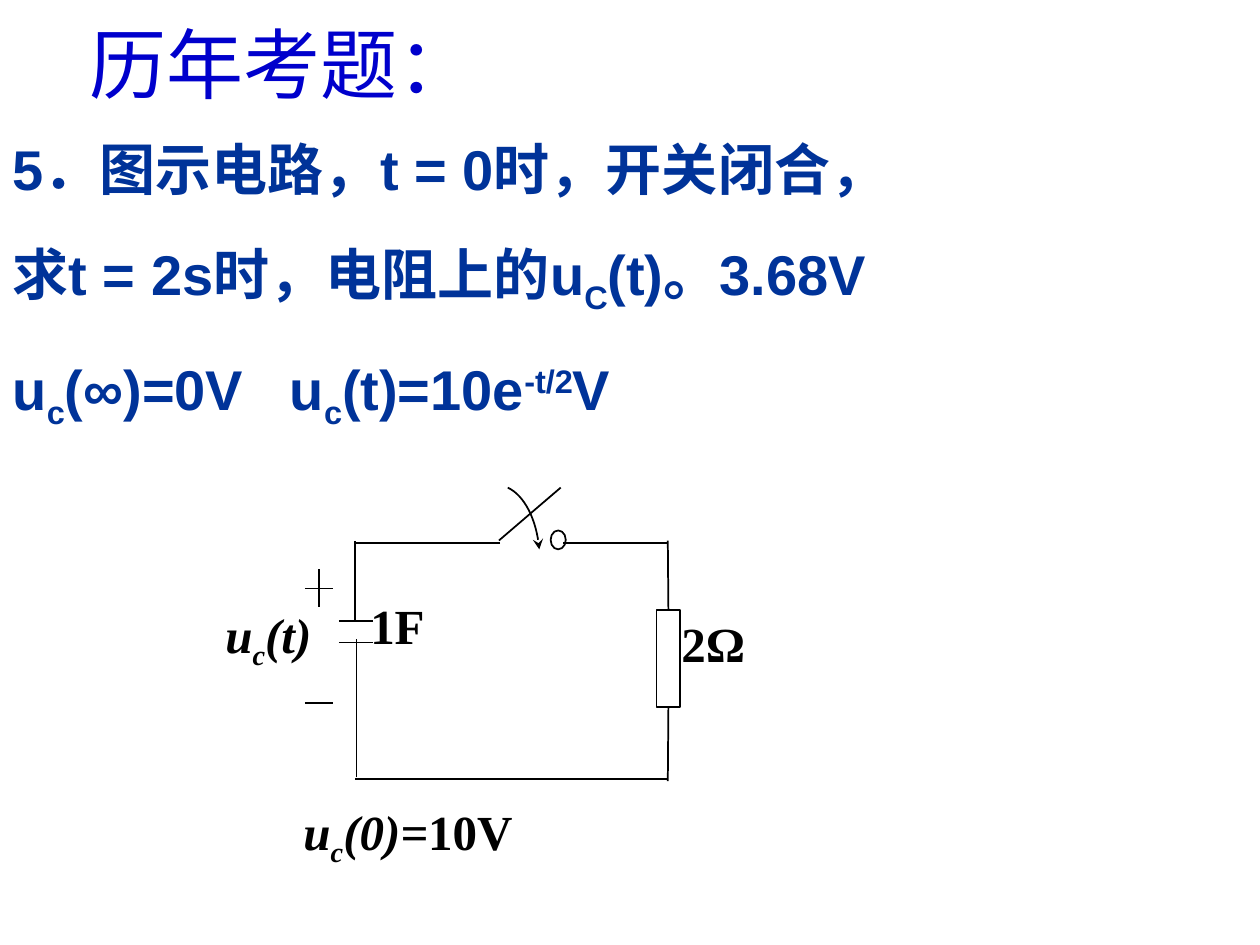
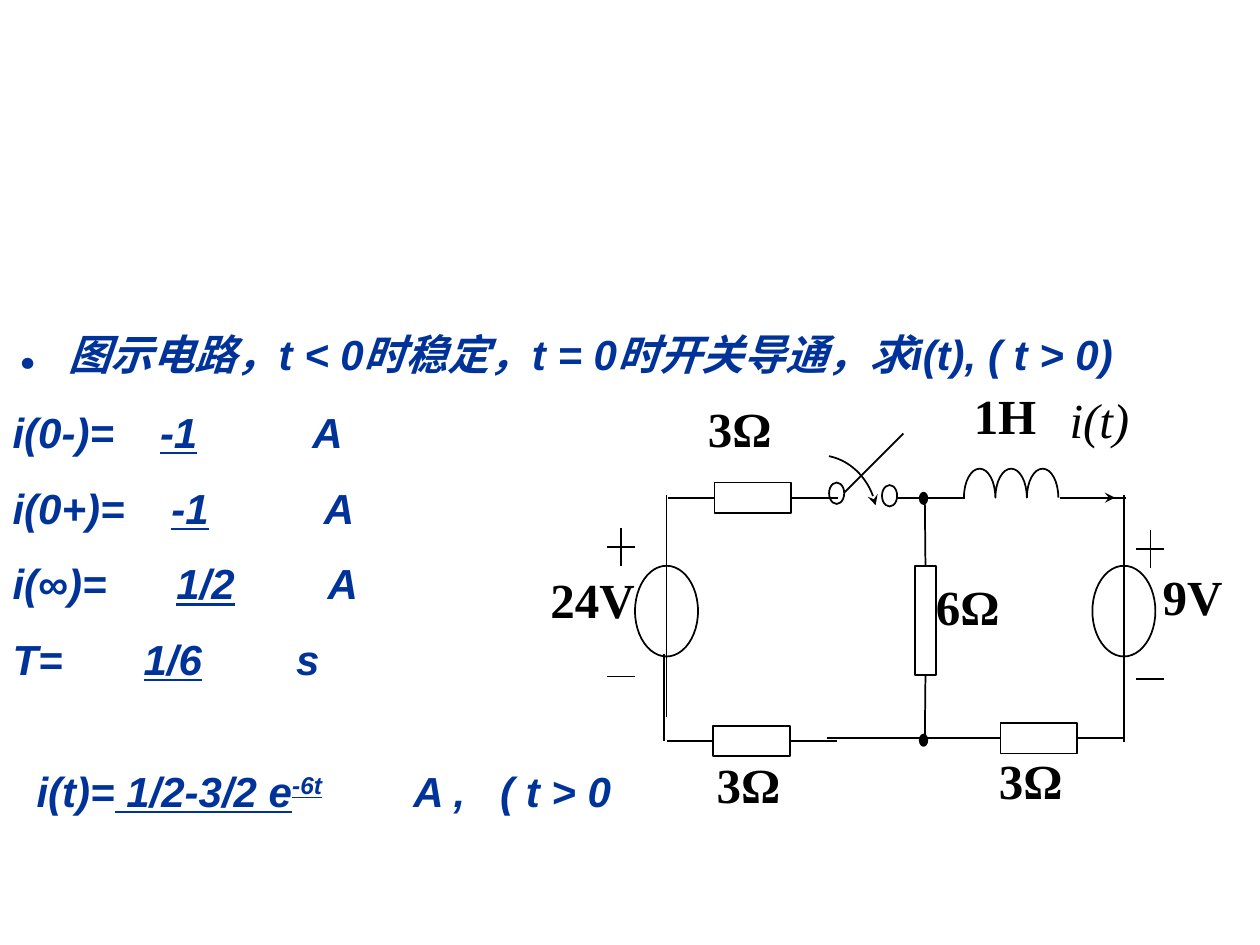
from dataclasses import dataclass
from math import cos, pi, sin
from typing import NamedTuple, Sequence, Union

from lxml import etree
from pptx import Presentation
from pptx.dml.color import RGBColor
from pptx.enum.lang import MSO_LANGUAGE_ID as Lang
from pptx.enum.shapes import MSO_CONNECTOR as Connector, MSO_SHAPE as Shape
from pptx.enum.text import MSO_ANCHOR as Anchor, MSO_AUTO_SIZE as AutoSize, PP_ALIGN as Align
from pptx.oxml.ns import qn
from pptx.util import Inches, Pt

COLORS = {"question": "003399", "heading": "0000CC", "ink": "000000"}
SANS, SERIF = "Arial", "Times New Roman"
SUB, SUPER = -25, 30
TOP, LEFT, BOTTOM, RIGHT = range(4)


class Span(NamedTuple):
    text: str
    baseline: int = 0
    underline: bool = False
    size: int = 0
    upright: bool = False


class Line(NamedTuple):
    spans: Sequence[Span]
    tabs: Sequence[float] = ()
    space_before: float = 0


class Point(NamedTuple):
    x: float
    y: float


class Joint(NamedTuple):
    """The middle of one side of a drawn component."""
    component: object
    side: int


End = Union[Point, Joint]


@dataclass
class Label:
    left: float
    top: float
    width: float
    height: float
    spans: Sequence[Span]
    bold: bool = True
    italic: bool = False


@dataclass
class Answer:
    quantity: str
    value: str
    unit: str
    tabs: Sequence[float]

    def line(self) -> Line:
        return Line([Span(f"{self.quantity}\t"), Span(f"\t{self.value}\t", underline=True),
                     Span(f"\t{self.unit}")], self.tabs)


def rgb(name: str) -> RGBColor:
    return RGBColor.from_string(COLORS[name])


def box(left: float, top: float, width: float, height: float) -> list:
    return [Inches(length) for length in (left, top, width, height)]


def style(font, face: str, size: float, color: str, bold=False, italic=False) -> None:
    font.name, font.size, font.bold, font.italic = face, Pt(size), bold, italic
    font.color.rgb = rgb(color)
    font.language_id = Lang.SIMPLIFIED_CHINESE


def add_spans(paragraph, spans: Sequence[Span]) -> None:
    for span in spans:
        run = paragraph.add_run()
        run.text = span.text
        if span.underline:
            run.font.underline = True
        if span.size:
            run.font.size = Pt(span.size)
        if span.upright:
            run.font.italic = False
        if span.baseline:
            run._r.get_or_add_rPr().set("baseline", str(span.baseline * 1000))


def add_tabs(paragraph, stops: Sequence[float]) -> None:
    tab_list = etree.SubElement(paragraph._p.get_or_add_pPr(), qn("a:tabLst"))
    for stop in stops:
        etree.SubElement(tab_list, qn("a:tab"), pos=str(Inches(stop)), algn="l")


def add_question(slide, top: float, lines: Sequence[Line], size: float, italic=False) -> None:
    title = slide.shapes.title
    title.left, title.top, title.width, title.height = box(0, top, 9.77, 0.5)
    frame = title.text_frame
    frame.auto_size, frame.word_wrap = AutoSize.NONE, True
    frame.vertical_anchor = Anchor.MIDDLE
    for index, line in enumerate(lines):
        paragraph = frame.add_paragraph() if index else frame.paragraphs[0]
        paragraph.alignment, paragraph.line_spacing = Align.LEFT, 1.5
        if line.space_before:
            paragraph.space_before = Pt(line.space_before)
        if line.tabs:
            add_tabs(paragraph, line.tabs)
        style(paragraph.font, SANS, size, "question", True, italic)
        add_spans(paragraph, line.spans)


def add_heading(slide, text: str) -> None:
    frame = slide.shapes.add_textbox(*box(0.61, 0.08, 3.26, 0.84)).text_frame
    frame.word_wrap, frame.auto_size = False, AutoSize.SHAPE_TO_FIT_TEXT
    paragraph = frame.paragraphs[0]
    style(paragraph.font, SANS, 44, "heading")
    add_spans(paragraph, [Span(text)])


def add_label(slide, label: Label) -> None:
    frame = slide.shapes.add_textbox(*box(label.left, label.top, label.width, label.height)).text_frame
    frame.word_wrap = True
    paragraph = frame.paragraphs[0]
    paragraph.alignment = Align.JUSTIFY
    style(paragraph.font, SERIF, 28, "ink", label.bold, label.italic)
    add_spans(paragraph, label.spans)


def ink_line(shape, width: float = 1) -> None:
    shape.line.color.rgb = rgb("ink")
    shape.line.width = Pt(width)


def add_component(slide, kind, left: float, top: float, width: float, height: float, filled=False):
    component = slide.shapes.add_shape(kind, *box(left, top, width, height))
    component.shadow.inherit = False
    if filled:
        component.fill.solid()
        component.fill.fore_color.rgb = rgb("ink")
    else:
        component.fill.background()
    ink_line(component)
    return component


def add_arrowhead(shape, end: str) -> None:
    etree.SubElement(shape.line._get_or_add_ln(), qn(f"a:{end}"), type="stealth")


def add_wire(slide, start: End, end: End, width: float = 1):
    corners = [Point(0, 0) if isinstance(p, Joint) else p for p in (start, end)]
    wire = slide.shapes.add_connector(
        Connector.STRAIGHT, *[Inches(length) for corner in corners for length in corner])
    if isinstance(start, Joint):
        wire.begin_connect(*start)
    if isinstance(end, Joint):
        wire.end_connect(*end)
    ink_line(wire, width)
    etree.SubElement(wire._element.spPr, qn("a:effectLst"))
    return wire


def add_wires(slide, ends: Sequence[tuple]) -> None:
    for x1, y1, x2, y2 in ends:
        add_wire(slide, Point(x1, y1), Point(x2, y2))


def add_curve(slide, points: Sequence[Point]):
    emu = [(Inches(p.x), Inches(p.y)) for p in points]
    builder = slide.shapes.build_freeform(*emu[0])
    builder.add_line_segments(emu[1:], close=False)
    curve = builder.convert_to_shape()
    curve.shadow.inherit = False
    curve.fill.background()
    ink_line(curve)
    return curve


def add_switch_arrow(slide, *controls: Point) -> None:
    """Draw a cubic Bézier curve with an arrowhead at its first point."""
    points = []
    for step in range(17):
        t = step / 16
        weights = ((1 - t) ** 3, 3 * t * (1 - t) ** 2, 3 * t * t * (1 - t), t ** 3)
        points.append(Point(*(sum(w * c for w, c in zip(weights, axis)) for axis in zip(*controls))))
    add_arrowhead(add_curve(slide, points), "headEnd")


def add_inductor(slide, left: float, base: float, humps=3, pitch=0.25, height=0.23) -> None:
    steps = 16
    angles = [pi * step / steps for step in range(steps + 1)]
    add_curve(slide, [Point(left + pitch * (hump + (1 - cos(a)) / 2), base - height * sin(a))
                      for hump in range(humps) for a in angles])


def add_polarity(slide, x: float, plus_y: float, minus_y: float) -> None:
    arm, stem = 0.11, 0.15
    add_wires(slide, [(x - arm, plus_y, x + arm, plus_y), (x, plus_y - stem, x, plus_y + stem),
                      (x - arm, minus_y, x + arm, minus_y)])


def build_capacitor_slide(slide) -> None:
    add_question(slide, 1.86, [
        Line([Span("5．图示电路，t = 0时，开关闭合，")]),
        Line([Span("求t = 2s时，电阻上的u"), Span("C", SUB), Span("(t)。3.68V")]),
        Line([Span("u"), Span("c", SUB), Span("(∞)=0V\tu"), Span("c", SUB),
              Span("(t)=10e"), Span("-t/2", SUPER), Span("V")], [2.2]),
    ], 32)
    add_heading(slide, "历年考题：")

    resistor = add_component(slide, Shape.RECTANGLE, 5.21, 4.84, 0.19, 0.77)
    add_wire(slide, Point(5.3, 4.29), Joint(resistor, TOP))
    add_wire(slide, Joint(resistor, BOTTOM), Point(5.3, 6.2))
    add_component(slide, Shape.OVAL, 4.37, 4.21, 0.12, 0.15)
    capacitor_plates = [(2.69, y, 2.96, y) for y in (4.93, 5.1)]
    switch_blade = (4.45, 3.87, 3.96, 4.29)
    add_wires(slide, [
        *capacitor_plates, switch_blade,
        (5.29, 4.31, 4.47, 4.31), (3.97, 4.31, 2.82, 4.31),
        (2.82, 4.92, 2.82, 4.29), (2.83, 5.7, 2.83, 5.07), (2.83, 6.17, 2.83, 5.56),
        (5.3, 6.18, 3.66, 6.18), (4.47, 6.18, 2.82, 6.18),
    ])
    add_switch_arrow(slide, Point(4.28, 4.36), Point(4.26, 4.12), Point(4.16, 3.93), Point(4.03, 3.87))
    add_polarity(slide, 2.53, 4.67, 5.58)
    for label in (
        Label(1.69, 4.75, 1.32, 0.76, [Span("u"), Span("c", SUB), Span("(t)")], italic=True),
        Label(2.31, 6.31, 1.98, 0.76, [Span("u"), Span("c", SUB), Span("(0)="),
                                       Span("10V", upright=True)], italic=True),
        Label(2.84, 4.68, 0.99, 0.68, [Span("1F")]),
        Label(5.31, 4.82, 0.82, 0.68, [Span("2Ω")]),
    ):
        add_label(slide, label)


def build_inductor_slide(slide) -> None:
    answers = [
        Answer("i(0-)=", "-1", "A", [0.99, 1.17, 2.21, 2.38]),
        Answer("i(0+)=", "-1", "A", [1.07, 1.26, 2.3, 2.47]),
        Answer("i(∞)=", "1/2", "A", [0.84, 1.3, 2.32, 2.5]),
        Answer("T=", "1/6", "s", [0.58, 1.04, 2.07, 2.25]),
    ]
    add_question(slide, 4.1, [
        Line([Span("．", size=32, upright=True),
              Span("图示电路，t < 0时稳定，t = 0时开关导通，求i(t), ( t > 0)")]),
        *[answer.line() for answer in answers],
        Line([Span("\ti(t)="), Span(" 1/2-3/2 e", underline=True), Span("-6t", SUPER, True),
              Span("\t", underline=True), Span("\tA ,\t( t > 0")],
             [0.19, 3.0, 3.18, 3.87], space_before=32),
    ], 24, italic=True)

    for left, top, wire_left, wire_right in (
        (5.67, 3.83, 5.3, 6.65), (5.66, 5.76, 5.29, 6.64), (7.94, 5.74, 7.56, 8.91),
    ):
        resistor = add_component(slide, Shape.RECTANGLE, left, top, 0.61, 0.24)
        add_wire(slide, Point(wire_left, top + 0.12), Joint(resistor, LEFT))
        add_wire(slide, Joint(resistor, RIGHT), Point(wire_right, top + 0.12))
    middle_resistor = add_component(slide, Shape.RECTANGLE, 7.26, 4.49, 0.17, 0.87)
    add_wire(slide, Point(7.34, 3.95), Joint(middle_resistor, TOP))
    add_wire(slide, Joint(middle_resistor, BOTTOM), Point(7.34, 5.89))
    for node_top in (3.91, 5.83):
        add_component(slide, Shape.FLOWCHART_CONNECTOR, 7.3, node_top, 0.06, 0.09, filled=True)
    for contact_left, contact_top in ((6.58, 3.83), (7.0, 3.85)):
        add_component(slide, Shape.OVAL, contact_left, contact_top, 0.12, 0.17)
    for source_left in (5.04, 8.67):
        add_component(slide, Shape.OVAL, source_left, 4.49, 0.5, 0.72)

    switch_blade = (7.17, 3.44, 6.7, 3.91)
    add_wires(slide, [
        switch_blade, (7.13, 3.95, 7.66, 3.95), (8.41, 3.95, 8.94, 3.95), (7.62, 5.86, 6.56, 5.86),
        (5.29, 5.69, 5.29, 3.93), (5.27, 5.88, 5.27, 5.19),
        (8.92, 5.69, 8.92, 3.93), (8.92, 5.17, 8.92, 5.89),
    ])
    add_inductor(slide, 7.65, 3.95)
    current = add_wire(slide, Point(8.52, 3.95), Point(8.85, 3.95), 0.75)
    add_arrowhead(current, "tailEnd")
    add_switch_arrow(slide, Point(6.95, 4.01), Point(6.91, 3.82), Point(6.77, 3.66), Point(6.58, 3.62))
    add_polarity(slide, 4.93, 4.34, 5.37)
    add_polarity(slide, 9.13, 4.36, 5.39)
    for label in (
        Label(7.83, 5.91, 1.01, 0.8, [Span("3Ω")]),
        Label(7.63, 3.01, 1.01, 0.8, [Span("1H")]),
        Label(4.27, 4.47, 1.01, 0.8, [Span("24V")]),
        Label(9.13, 4.45, 0.87, 0.79, [Span("9V")]),
        Label(8.39, 3.04, 0.84, 0.9, [Span("i(t)")], bold=False, italic=True),
        Label(5.52, 3.11, 1.34, 0.8, [Span("3Ω")]),
        Label(7.33, 4.53, 0.88, 0.8, [Span("6Ω")]),
        Label(5.59, 5.94, 1.34, 0.8, [Span("3Ω")]),
    ):
        add_label(slide, label)


def main() -> None:
    deck = Presentation()
    deck.slide_width, deck.slide_height = Inches(10), Inches(7.5)
    title_only = deck.slide_layouts[5]
    for build in (build_capacitor_slide, build_inductor_slide):
        build(deck.slides.add_slide(title_only))
    deck.save("out.pptx")


if __name__ == "__main__":
    main()
